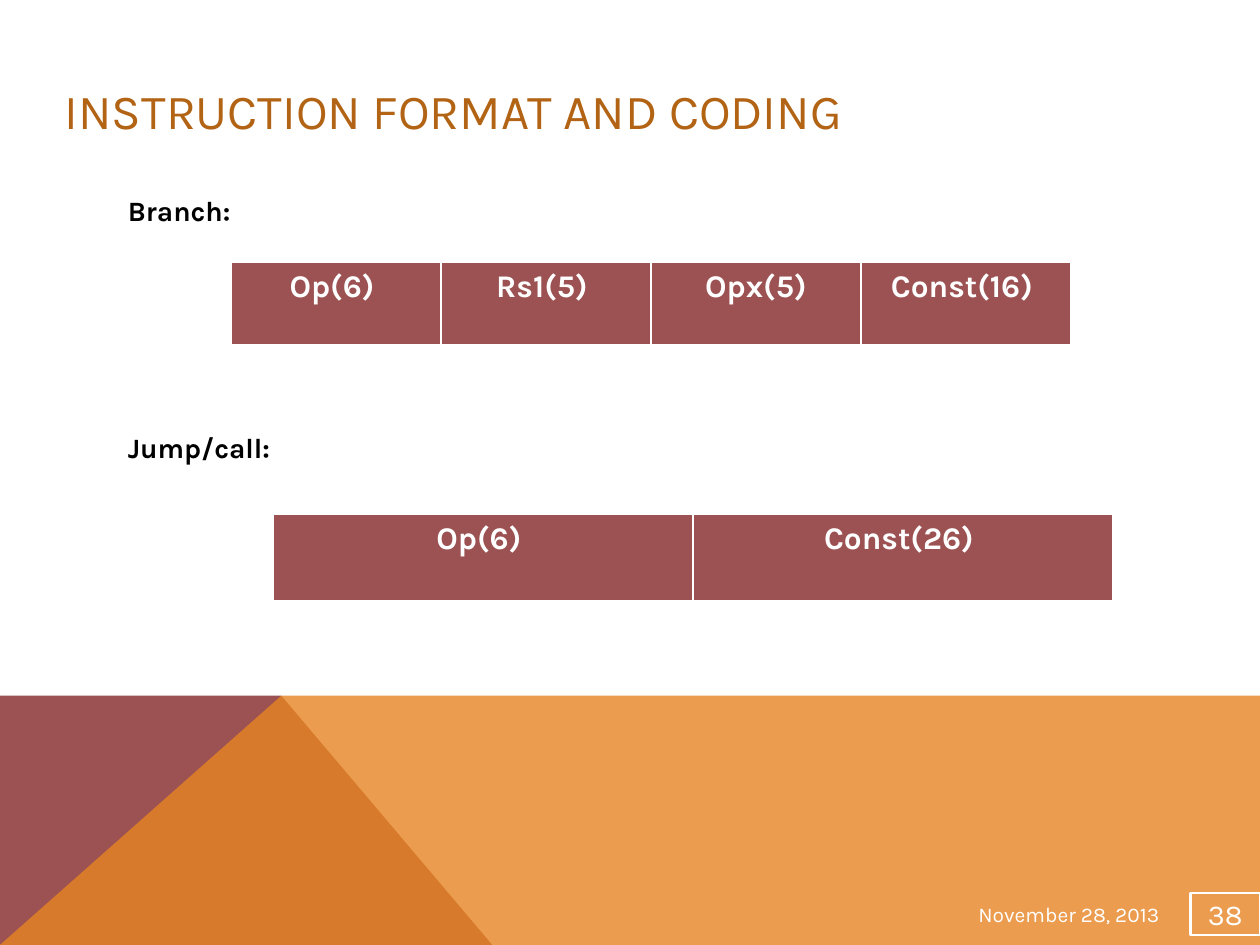
"""Build the slide on branch and jump/call instruction formats."""
import pptx
import pptx.util
import pptx.dml.color
import pptx.enum.shapes
import pptx.enum.text
import pptx.oxml
import pptx.oxml.ns

Pt = pptx.util.Pt
ALIGN = pptx.enum.text.PP_ALIGN
ANCHOR = pptx.enum.text.MSO_ANCHOR
FONT = "Karla"
COLORS = {"white": "FFFFFF", "black": "000000", "maroon": "9C5252",
          "orange": "E68422", "title": "B26314"}
SLIDE_WIDTH, SLIDE_HEIGHT = 720, 540
BAND_TOP, PEAK = 397.6, 160.8

BANDS = [
    {"points": [(0, SLIDE_HEIGHT), (0, BAND_TOP), (PEAK, BAND_TOP), (281.3, SLIDE_HEIGHT)],
     "color": "maroon", "opacity": 100},
    {"points": [(0, SLIDE_HEIGHT), (PEAK, BAND_TOP), (SLIDE_WIDTH, BAND_TOP),
                (SLIDE_WIDTH, SLIDE_HEIGHT)],
     "color": "orange", "opacity": 80},
]
TEXTS = [
    ("INSTRUCTION FORMAT AND CODING", (30, 18, 588, 90), {"size": 28, "color": "title"}),
    ("Branch:", (66, 105, 400, 30), {"size": 16, "color": "black", "bold": True}),
    ("Jump/call:", (66, 240.5, 400, 30), {"size": 16, "color": "black", "bold": True}),
    ("November 28, 2013", (552, 510.5, 168, 24), {"size": 12}),
]
PAGE_NUMBER = ("38", (680.2, 510.3, 39.8, 24))
TABLE_WIDTH = 480
FORMATS = [
    {"fields": ["Op(6) ", "Rs1(5) ", "Opx(5)", "Const(16) "], "left": 132, "top": 150, "height": 48},
    {"fields": ["Op(6) ", "Const(26) "], "left": 156, "top": 294, "height": 50.4},
]
BORDERS = {"lnL": 1, "lnR": 1, "lnT": 1, "lnB": 3}


def rgb(name):
    """Return the named colour."""
    return pptx.dml.color.RGBColor.from_string(COLORS[name])


def write_text(frame, text, size=18, color="white", bold=False, align=ALIGN.LEFT):
    """Put one formatted paragraph in a text frame."""
    paragraph = frame.paragraphs[0]
    paragraph.alignment = align
    run = paragraph.add_run()
    run.text = text
    run.font.name = FONT
    run.font.size = Pt(size)
    run.font.bold = bold
    run.font.color.rgb = rgb(color)


def add_band(slide, points, color, opacity):
    """Draw one filled polygon of the footer."""
    builder = slide.shapes.build_freeform(Pt(points[0][0]), Pt(points[0][1]))
    builder.add_line_segments([(Pt(x), Pt(y)) for x, y in points[1:]], close=True)
    shape = builder.convert_to_shape()
    shape.shadow.inherit = False
    shape.line.fill.background()
    shape.fill.solid()
    shape.fill.fore_color.rgb = rgb(color)
    if opacity < 100:
        value = shape.fill._xPr.find(".//" + pptx.oxml.ns.qn("a:srgbClr"))
        value.append(pptx.oxml.parse_xml(
            f'<a:alpha {pptx.oxml.ns.nsdecls("a")} val="{opacity * 1000}"/>'))


def add_label(slide, text, box, **style):
    """Add a wrapped, vertically centred text box."""
    frame = slide.shapes.add_textbox(*map(Pt, box)).text_frame
    frame.word_wrap = True
    frame.vertical_anchor = ANCHOR.MIDDLE
    write_text(frame, text, **style)


def add_page_number(slide, text, box):
    """Add the outlined page number."""
    shape = slide.shapes.add_shape(pptx.enum.shapes.MSO_SHAPE.RECTANGLE, *map(Pt, box))
    shape.shadow.inherit = False
    shape.fill.background()
    shape.line.color.rgb = rgb("white")
    shape.line.width = Pt(1.5)
    frame = shape.text_frame
    frame.margin_left = frame.margin_right = frame.margin_top = frame.margin_bottom = Pt(0.72)
    frame.vertical_anchor = ANCHOR.MIDDLE
    write_text(frame, text, size=16.5, align=ALIGN.CENTER)


def add_format_table(slide, fields, left, top, height):
    """Add a one-row table with equal columns, one per instruction field."""
    table = slide.shapes.add_table(1, len(fields), Pt(left), Pt(top),
                                   Pt(TABLE_WIDTH), Pt(height)).table
    for column, field in enumerate(fields):
        table.columns[column].width = Pt(TABLE_WIDTH / len(fields))
        cell = table.cell(0, column)
        write_text(cell.text_frame, field, bold=True, align=ALIGN.CENTER)
        properties = cell._tc.get_or_add_tcPr()
        for side, width in BORDERS.items():
            properties.append(pptx.oxml.parse_xml(
                f'<a:{side} {pptx.oxml.ns.nsdecls("a")} w="{Pt(width)}"><a:solidFill>'
                f'<a:srgbClr val="{COLORS["white"]}"/></a:solidFill></a:{side}>'))
        cell.fill.solid()
        cell.fill.fore_color.rgb = rgb("maroon")


def main():
    """Assemble and save the slide."""
    presentation = pptx.Presentation()
    presentation.slide_width = Pt(SLIDE_WIDTH)
    presentation.slide_height = Pt(SLIDE_HEIGHT)
    slide = presentation.slides.add_slide(presentation.slide_layouts[6])
    for band in BANDS:
        add_band(slide, **band)
    for text, box, style in TEXTS:
        add_label(slide, text, box, **style)
    add_page_number(slide, *PAGE_NUMBER)
    for instruction in FORMATS:
        add_format_table(slide, **instruction)
    presentation.save("out.pptx")


if __name__ == "__main__":
    main()
